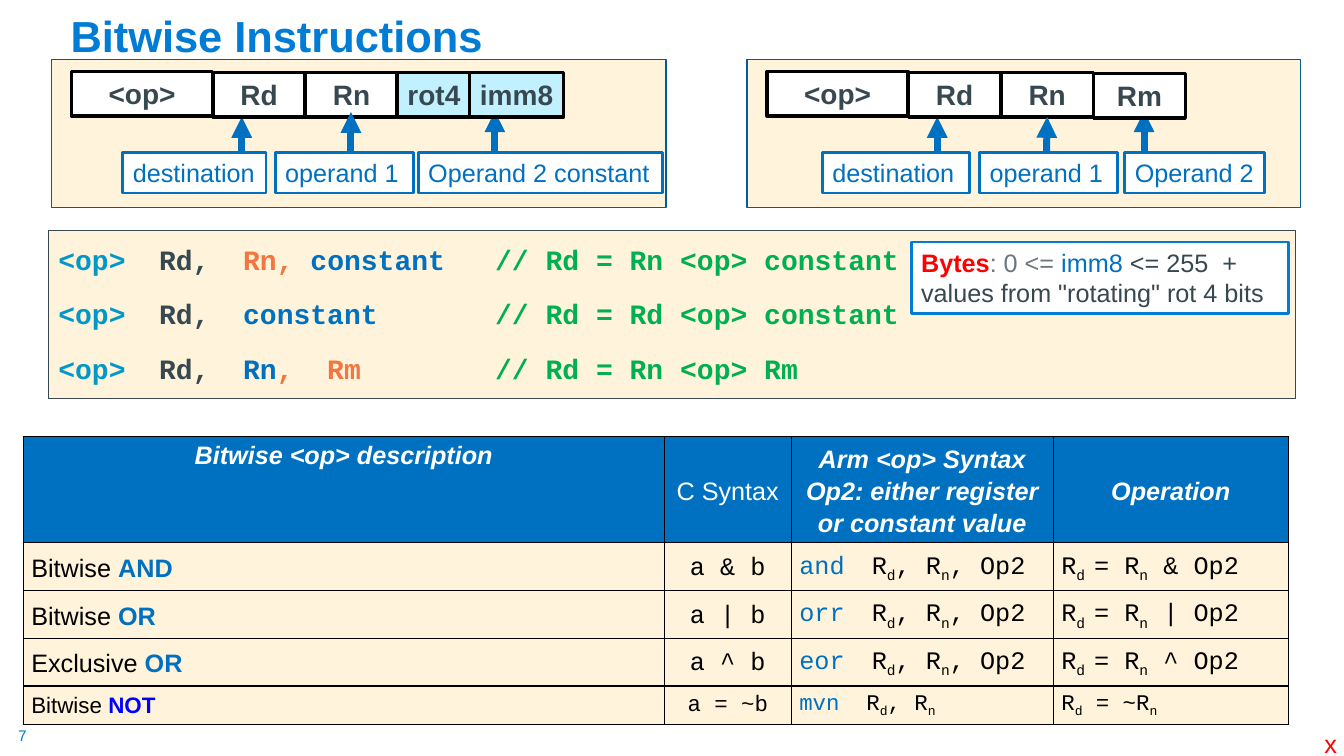
import pptx
import pptx.util
import pptx.dml.color
import pptx.enum.shapes
import pptx.enum.text
import pptx.oxml
import pptx.oxml.ns

Pt = pptx.util.Pt
ALIGN = pptx.enum.text.PP_ALIGN
ANCHOR = pptx.enum.text.MSO_ANCHOR
SHAPE = pptx.enum.shapes.MSO_SHAPE
MONO = "Courier New"
COLORS = {
    "title": "007CD5", "blue": "0070C0", "edge": "005C9E", "cream": "FFF4DB",
    "ice": "C1F0FF", "slate": "384851", "gray": "6B767D", "cyan": "0098C9",
    "orange": "F3753F", "green": "00B050", "red": "FF0000", "not": "0000FF",
    "white": "FFFFFF", "black": "000000",
}


def rgb(name):
    return pptx.dml.color.RGBColor.from_string(COLORS[name])


def sub_element(parent, tag, **attrs):
    child = parent.makeelement(pptx.oxml.ns.qn(tag), {k: str(v) for k, v in attrs.items()})
    parent.append(child)
    return child


def add_run(p, text, size=18, color="black", font="Arial", bold=False, italic=False, base=0):
    r = p.add_run()
    r.text = text
    r.font.size = Pt(size)
    r.font.name = font
    r.font.bold = bold
    r.font.italic = italic
    r.font.color.rgb = rgb(color)
    if base:
        r._r.get_or_add_rPr().set("baseline", str(base))


def add_tabs(p, stops):
    tabs = sub_element(p._p.get_or_add_pPr(), "a:tabLst")
    for stop in stops:
        sub_element(tabs, "a:tab", pos=int(Pt(stop)), algn="l")


def formula(text):
    pieces = text.replace("}", "{").split("{")
    return [(t, {"base": -25000 * (i % 2)}) for i, t in enumerate(pieces) if t]


class Deck:
    def __init__(self, prs):
        self.s = prs.slides.add_slide(prs.slide_layouts[5])

    def set_text(self, tf, paras, align=ALIGN.LEFT, spacing=None, before=0, tabs=(), **fmt):
        for i, runs in enumerate(paras):
            p = tf.add_paragraph() if i else tf.paragraphs[0]
            p.alignment = align
            if spacing:
                p.line_spacing = spacing
            p.space_before = Pt(before if i else 0)
            if tabs:
                add_tabs(p, tabs)
            for text, own in runs:
                add_run(p, text, **{**fmt, **own})

    def title(self, text, x, y, w, h):
        sp = self.s.shapes.title
        sp.left, sp.top, sp.width, sp.height = Pt(x), Pt(y), Pt(w), Pt(h)
        tf = sp.text_frame
        tf.auto_size = pptx.enum.text.MSO_AUTO_SIZE.NONE
        tf.vertical_anchor = ANCHOR.BOTTOM
        self.set_text(tf, [[(text, {})]], spacing=0.9, size=31, color="title", bold=True)

    def box(self, x, y, w, h, fill, line, weight, paras=(), wrap=True, **fmt):
        sp = self.s.shapes.add_shape(SHAPE.RECTANGLE, Pt(x), Pt(y), Pt(w), Pt(h))
        sp.shadow.inherit = False
        sp.fill.solid()
        sp.fill.fore_color.rgb = rgb(fill)
        sp.line.color.rgb = rgb(line)
        sp.line.width = Pt(weight)
        sp.text_frame.word_wrap = wrap
        sp.text_frame.vertical_anchor = ANCHOR.TOP
        self.set_text(sp.text_frame, paras, **fmt)
        return sp

    def text(self, text, x, y, w, h, margin, **fmt):
        tf = self.s.shapes.add_textbox(Pt(x), Pt(y), Pt(w), Pt(h)).text_frame
        tf.word_wrap = False
        tf.margin_left = tf.margin_right = Pt(margin)
        tf.margin_top = tf.margin_bottom = Pt(margin / 2)
        self.set_text(tf, [[(text, {})]], **fmt)

    def arrow(self, x, y, tip):
        c = self.s.shapes.add_connector(
            pptx.enum.shapes.MSO_CONNECTOR.STRAIGHT, Pt(x), Pt(y), Pt(x), Pt(tip))
        c.line.color.rgb = rgb("blue")
        c.line.width = Pt(5)
        sub_element(c.line._get_or_add_ln(), "a:tailEnd", type="triangle")
        sub_element(c._element.spPr, "a:effectLst")
        return c

    def instruction(self, x, w, fields, labels, operand2_x, rn_tip=None):
        self.box(x, 42.5, w, 105.8, "cream", "edge", 1)
        self.arrow(x + operand2_x, 114, 79.5)
        self.arrow(x + 136, 113, 83.5)
        cells = {}
        for name, dx, y, width, fill in FIELDS + fields:
            cells[name] = self.box(
                x + dx, y, width, 31.7, fill, "black", 2.5, [[(name, {})]],
                wrap=False, align=ALIGN.CENTER, size=20, color="slate", bold=True)
        c = self.arrow(x + 214, 110, rn_tip or 83.5)
        if rn_tip is None:
            c.end_connect(cells["Rn"], 2)
        for name, dx, width in labels:
            self.box(x + dx, 108.9, width, 29, "white", "blue", 2, [[(name, {})]],
                     wrap=False, color="blue")

    def cell(self, c, paras, fill, margin, anchor=ANCHOR.MIDDLE, **fmt):
        c.margin_left = c.margin_right = Pt(5.76)
        c.margin_top = c.margin_bottom = Pt(margin)
        c.vertical_anchor = anchor
        tcPr = c._tc.get_or_add_tcPr()
        for side in ("a:lnL", "a:lnR", "a:lnT", "a:lnB"):
            ln = sub_element(tcPr, side, w=int(Pt(1)))
            sub_element(sub_element(ln, "a:solidFill"), "a:srgbClr", val=COLORS["black"])
        c.fill.solid()
        c.fill.fore_color.rgb = rgb(fill)
        self.set_text(c.text_frame, paras, **fmt)

    def table(self, x, y, widths, heights, header, rows):
        t = self.s.shapes.add_table(
            len(heights), len(widths), Pt(x), Pt(y), Pt(sum(widths)), Pt(sum(heights))).table
        t.first_row = t.horz_banding = False
        for col, width in zip(t.columns, widths):
            col.width = Pt(width)
        for row, height in zip(t.rows, heights):
            row.height = Pt(height)
        for j, lines in enumerate(header):
            strong = j != 1
            self.cell(t.cell(0, j), [[(line, {})] for line in lines], "blue", 0.72,
                      anchor=ANCHOR.MIDDLE if j else ANCHOR.TOP, align=ALIGN.CENTER,
                      spacing=1.15, color="white", bold=strong, italic=strong)
        for i, (kind, op, op_color, c_code, mnemonic, args, result) in enumerate(rows, 1):
            last = i == len(rows)
            style = {"size": 16 if last else 18, "spacing": None if last else 1.15}
            columns = [
                ([(kind, {}), (op, {"color": op_color, "bold": True})], {}),
                ([(c_code, {})], {"font": MONO, "align": ALIGN.CENTER}),
                ([(mnemonic + "\t", {"color": "blue"})] + formula(args),
                 {"font": MONO, "tabs": [48 if last else 51.8]}),
                (formula(result), {"font": MONO}),
            ]
            for j, (runs, fmt) in enumerate(columns):
                self.cell(t.cell(i, j), [runs], "cream", 2.88, **style, **fmt)


FIELDS = [("<op>", 14.4, 51.1, 100.8, "white"), ("Rd", 115.6, 51.8, 65.5, "white"),
          ("Rn", 181.4, 51.8, 66.2, "white")]
OP, RD = ("<op>\t", {"color": "cyan"}), ("Rd,\t", {})
BLUE, ORANGE, GREEN = ({"color": c} for c in ("blue", "orange", "green"))
CODE = [
    [OP, RD, ("Rn, ", ORANGE), ("constant\t", BLUE), ("// Rd = Rn <op> constant", GREEN)],
    [OP, RD, ("constant\t", BLUE), ("// Rd = Rd <op> constant", GREEN)],
    [OP, RD, ("Rn", BLUE), (",  Rm\t", ORANGE), ("// Rd = Rn <op> Rm", GREEN)],
]
BYTES = [[("Bytes", {"color": "red", "bold": True}), (": 0 <= ", {"color": "gray"}),
          ("imm8 ", BLUE), ("<= 255  + values from \"rotating\" rot 4 bits", {})]]
HEADER = [["Bitwise <op> description"], ["C Syntax"],
          ["Arm <op> Syntax", "Op2: either register or constant value"], ["Operation"]]
ROWS = [(kind, op, "blue", f"a {sign} b", mnemonic, "R{d}, R{n}, Op2", f"R{{d }}= R{{n}} {sign} Op2")
        for kind, op, sign, mnemonic in [("Bitwise ", "AND", "&", "and"),
                                         ("Bitwise ", "OR", "|", "orr"),
                                         ("Exclusive ", "OR", "^", "eor")]]
ROWS.append(("Bitwise ", "NOT", "not", "a = ~b", "mvn", "R{d}, R{n}", "R{d} = ~R{n}"))


def main():
    prs = pptx.Presentation()
    prs.slide_width, prs.slide_height = Pt(960), Pt(540)
    d = Deck(prs)
    d.text("7", 13, 519, 13.7, 13.7, 0, size=11, color="title")
    d.title("Bitwise Instructions", 43.2, 0, 828, 47.5)
    d.box(34.6, 164.9, 890.6, 119.5, "cream", "slate", 0.75, CODE, spacing=1.2, before=10,
          tabs=[72, 132, 312], size=20, color="slate", font=MONO, bold=True)
    d.instruction(36.7, 439.2,
                  [("rot4", 247, 51.8, 52.6, "ice"), ("imm8", 298.8, 51.8, 67, "ice")],
                  [("destination", 51.1, 102.2), ("operand 1", 159.9, 98.6),
                   ("Operand 2 constant", 262.1, 174.2)], 316.8, rn_tip=80)
    d.instruction(533.5, 395.3, [("Rm", 247.7, 52.6, 65.5, "white")],
                  [("destination", 54, 105.1), ("operand 1", 166.3, 98.6),
                   ("Operand 2", 270, 100)], 283.7)
    d.box(650.9, 172.8, 269.3, 51.1, "white", "title", 2, BYTES, color="slate")
    d.table(16.6, 311.8, [457.9, 90.7, 187.2, 167.8], [75.6, 34.1, 34.1, 34.1, 27.8], HEADER, ROWS)
    d.text("x", 938.9, 517, 23.8, 28.8, 7.2, color="red")
    prs.save("out.pptx")


if __name__ == "__main__":
    main()
